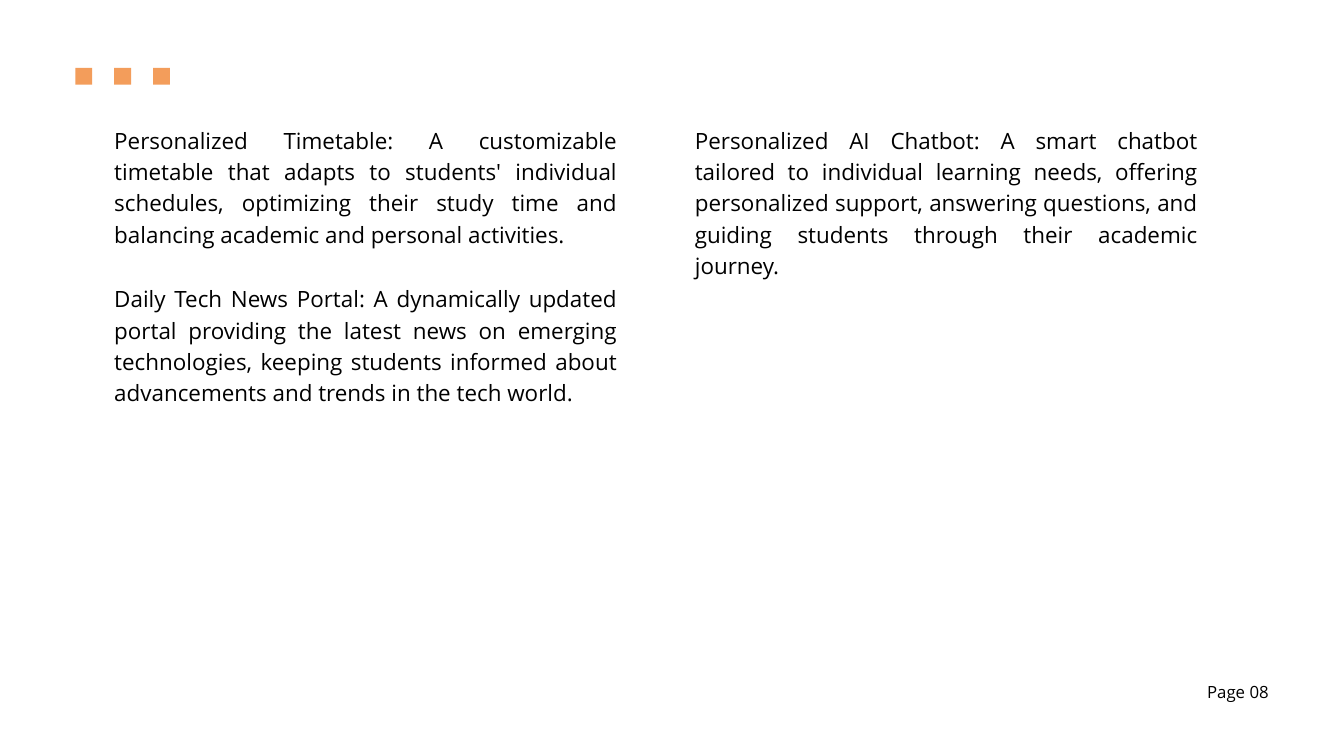
from dataclasses import dataclass

from pptx import Presentation
from pptx import util as u
from pptx.dml.color import RGBColor
from pptx.enum import shapes, text


@dataclass(frozen=True)
class Theme:
    font: str = "Open Sans"
    ink: str = "000000"
    accent: str = "F39D5B"
    background: str = "FFFFFF"
    body_size: int = 24
    footer_size: int = 18
    line_ratio: float = 1.4


class SlideBuilder:
    def __init__(self, slide, theme):
        self.slide = slide
        self.theme = theme

    def background(self):
        fill = self.slide.background.fill
        fill.solid()
        fill.fore_color.rgb = RGBColor.from_string(self.theme.background)

    def square(self, left, top, side):
        shape = self.slide.shapes.add_shape(
            shapes.MSO_SHAPE.RECTANGLE,
            u.Inches(left), u.Inches(top), u.Inches(side), u.Inches(side),
        )
        shape.shadow.inherit = False
        shape.fill.solid()
        shape.fill.fore_color.rgb = RGBColor.from_string(self.theme.accent)
        shape.line.fill.background()

    def text_block(self, wording, left, top, width, height, size, alignment):
        box = self.slide.shapes.add_textbox(
            u.Inches(left), u.Inches(top), u.Inches(width), u.Inches(height)
        )
        frame = box.text_frame
        frame.word_wrap = True
        frame.auto_size = text.MSO_AUTO_SIZE.SHAPE_TO_FIT_TEXT
        frame.margin_left = frame.margin_right = 0
        frame.margin_top = frame.margin_bottom = 0
        paragraph = frame.paragraphs[0]
        paragraph.alignment = alignment
        paragraph.line_spacing = u.Pt(size * self.theme.line_ratio)
        run = paragraph.add_run()
        run.text = wording
        run.font.name = self.theme.font
        run.font.size = u.Pt(size)
        run.font.color.rgb = RGBColor.from_string(self.theme.ink)

    def feature(self, wording, left, top, height):
        self.text_block(wording, left, top, 7.48, height,
                        self.theme.body_size, text.PP_ALIGN.JUSTIFY)

    def page_label(self, wording):
        self.text_block(wording, 16.77, 10.09, 2.11, 0.33,
                        self.theme.footer_size, text.PP_ALIGN.RIGHT)


LEFT_COLUMN, RIGHT_COLUMN = 1.7, 10.34
FIRST_ROW, SECOND_ROW = 1.82, 4.18

FEATURES = [
    ("Personalized Timetable: A customizable timetable that adapts to "
     "students' individual schedules, optimizing their study time and "
     "balancing academic and personal activities.",
     LEFT_COLUMN, FIRST_ROW, 1.81),
    ("Daily Tech News Portal: A dynamically updated portal providing the "
     "latest news on emerging technologies, keeping students informed about "
     "advancements and trends in the tech world.",
     LEFT_COLUMN, SECOND_ROW, 2.27),
    ("Personalized AI Chatbot: A smart chatbot tailored to individual "
     "learning needs, offering personalized support, answering questions, "
     "and guiding students through their academic journey.",
     RIGHT_COLUMN, FIRST_ROW, 2.27),
]


def main():
    presentation = Presentation()
    presentation.slide_width = u.Inches(20)
    presentation.slide_height = u.Inches(11.25)
    blank_layout = presentation.slide_layouts[6]
    builder = SlideBuilder(presentation.slides.add_slide(blank_layout), Theme())

    builder.background()
    for index in range(3):
        builder.square(1.12 + index * 0.58, 1.01, 0.25)
    builder.page_label("Page 08")
    for wording, left, top, height in FEATURES:
        builder.feature(wording, left, top, height)

    presentation.save("out.pptx")


if __name__ == "__main__":
    main()
